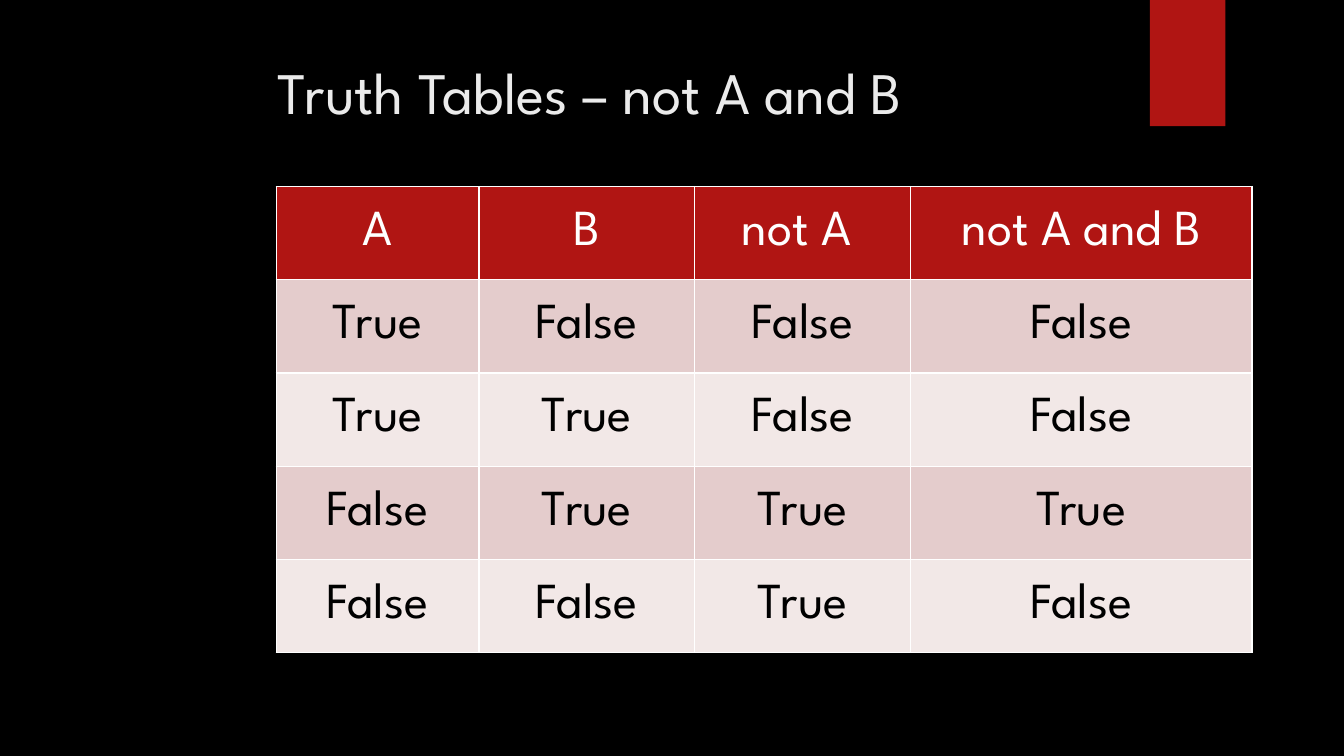
from dataclasses import dataclass

from lxml import etree
from pptx import Presentation
from pptx.dml.color import RGBColor
from pptx.enum.shapes import MSO_SHAPE
from pptx.enum.text import MSO_ANCHOR, PP_ALIGN
from pptx.oxml.ns import qn
from pptx.slide import Slide
from pptx.table import _Cell
from pptx.util import Cm, Pt

CENTER = PP_ALIGN.CENTER
TOP, MIDDLE = MSO_ANCHOR.TOP, MSO_ANCHOR.MIDDLE
RECTANGLE = MSO_SHAPE.RECTANGLE
TITLE_ONLY = 5


@dataclass(frozen=True)
class Theme:
    font: str = "League Spartan"
    background: str = "000000"
    accent: str = "B01513"
    title: str = "EBEBEB"
    header_text: str = "FFFFFF"
    body_text: str = "000000"
    border: str = "FFFFFF"
    bands: tuple[str, str] = ("E4CCCC", "F2E8E7")
    title_size: int = 42
    table_size: int = 36
    border_width: int = 1


@dataclass(frozen=True)
class Column:
    heading: str
    width: float
    values: tuple[bool, ...]


THEME = Theme()
A = (True, True, False, False)
B = (False, True, True, False)
NOT_A = tuple(not a for a in A)
COLUMNS = (
    Column("A", 5.11, A),
    Column("B", 5.44, B),
    Column("not A ", 5.44, NOT_A),
    Column("not A and B", 8.6, tuple(n and b for n, b in zip(NOT_A, B))),
)
ROW_HEIGHT = 2.35


def style_paragraph(p, size: int, color: str) -> None:
    p.alignment = CENTER
    p.font.name = THEME.font
    p.font.size = Pt(size)
    p.font.bold = False
    p.font.color.rgb = RGBColor.from_string(color)


def add_title(s: Slide, text: str) -> None:
    sp = s.shapes.title
    sp.left, sp.top, sp.width, sp.height = Cm(1.8), Cm(1.27), Cm(26.14), Cm(3.89)
    tf = sp.text_frame
    tf.text = text
    tf.vertical_anchor = TOP
    style_paragraph(tf.paragraphs[0], THEME.title_size, THEME.title)


def add_accent_tab(s: Slide) -> None:
    sp = s.shapes.add_shape(RECTANGLE, Cm(28.98), 0, Cm(1.9), Cm(3.18))
    sp.shadow.inherit = False
    sp.fill.solid()
    sp.fill.fore_color.rgb = RGBColor.from_string(THEME.accent)
    sp.line.fill.background()


def set_borders(cell: _Cell) -> None:
    tc_pr = cell._tc.get_or_add_tcPr()
    for i, side in enumerate(("lnL", "lnR", "lnT", "lnB")):
        ln = etree.Element(qn(f"a:{side}"), w=str(Pt(THEME.border_width)))
        fill = etree.SubElement(ln, qn("a:solidFill"))
        etree.SubElement(fill, qn("a:srgbClr"), val=THEME.border)
        tc_pr.insert(i, ln)


def fill_cell(cell: _Cell, text: str, fill: str, color: str) -> None:
    cell.text = text
    cell.vertical_anchor = MIDDLE
    style_paragraph(cell.text_frame.paragraphs[0], THEME.table_size, color)
    cell.fill.solid()
    cell.fill.fore_color.rgb = RGBColor.from_string(fill)
    set_borders(cell)


def add_truth_table(s: Slide, columns: tuple[Column, ...]) -> None:
    rows = 1 + len(columns[0].values)
    width = sum(column.width for column in columns)
    table = s.shapes.add_table(rows, len(columns), Cm(6.96), Cm(4.7),
                               Cm(width), Cm(rows * ROW_HEIGHT)).table
    for row in table.rows:
        row.height = Cm(ROW_HEIGHT)
    for c, column in enumerate(columns):
        table.columns[c].width = Cm(column.width)
        fill_cell(table.cell(0, c), column.heading, THEME.accent, THEME.header_text)
        for r, value in enumerate(column.values):
            fill_cell(table.cell(r + 1, c), str(value),
                      THEME.bands[r % 2], THEME.body_text)


def main() -> None:
    prs = Presentation()
    prs.slide_width, prs.slide_height = Cm(33.87), Cm(19.05)
    s = prs.slides.add_slide(prs.slide_layouts[TITLE_ONLY])
    s.background.fill.solid()
    s.background.fill.fore_color.rgb = RGBColor.from_string(THEME.background)
    add_accent_tab(s)
    add_title(s, "Truth Tables – not A and B")
    add_truth_table(s, COLUMNS)
    prs.save("out.pptx")


if __name__ == "__main__":
    main()
